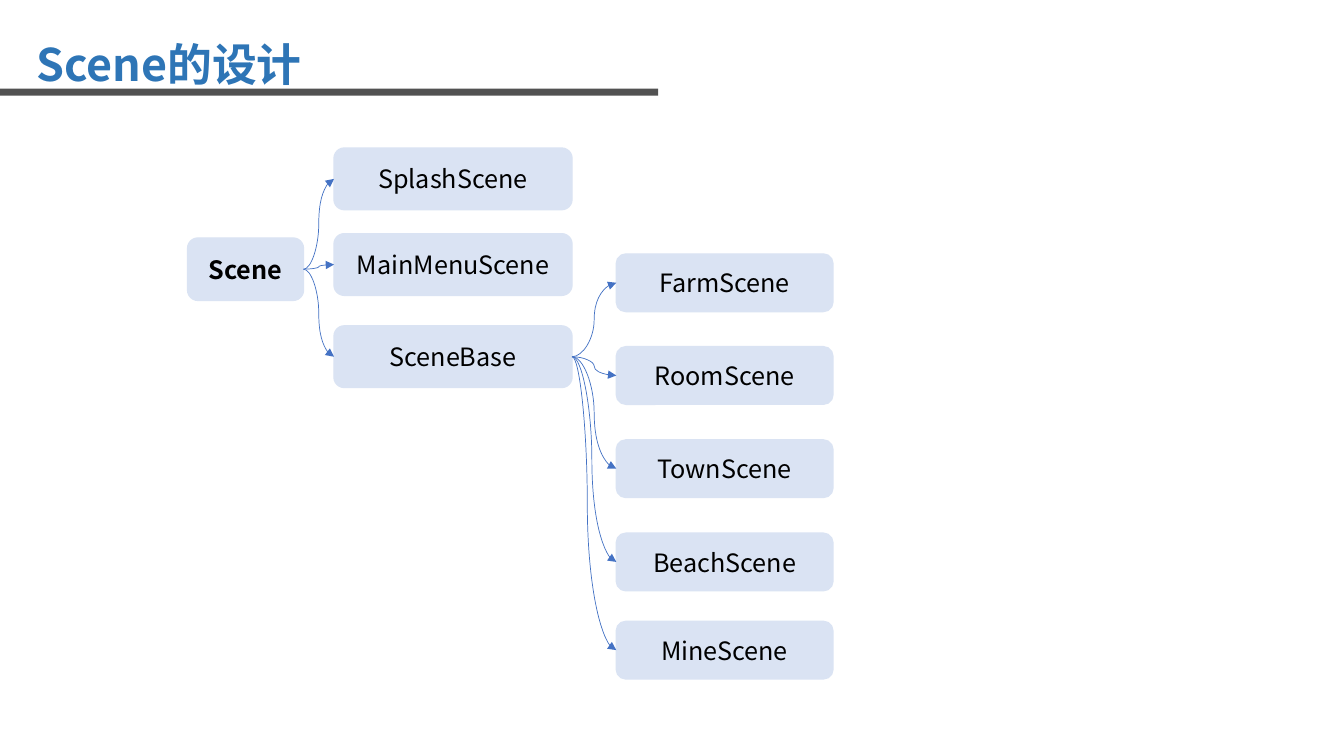
from lxml import etree
from pptx import Presentation
from pptx import util as u
from pptx.dml.color import RGBColor
from pptx.enum import shapes, text
from pptx.oxml.ns import qn

TITLE = "Scene的设计"
FONT = "Noto Sans CJK SC"
BLUE, GREY, PALE, BLACK, ARROW = "2E75B6", "525252", "DAE3F3", "000000", "4472C4"

ROOT = ("Scene", 170)
SCENES = [("SplashScene", 105.8), ("MainMenuScene", 167), ("SceneBase", 232.8)]
PLACES = [
    ("FarmScene", 181.4, 0.5),
    ("RoomScene", 247.6, 0.5),
    ("TownScene", 314.2, 0.5),
    ("BeachScene", 380.8, 0.448),
    ("MineScene", 443.8, 0.345),
]
ROOT_COLUMN = (134, 82.8, 44.6)
SCENE_COLUMN = (238.6, 170, 44)
PLACE_COLUMN = (440.2, 154.8, 41.2)


def color(value):
    return RGBColor.from_string(value)


def write(box, words, size=18, tint=BLACK, bold=False, align=text.PP_ALIGN.CENTER, spacing=1.0):
    frame = box.text_frame
    frame.word_wrap = True
    frame.vertical_anchor = text.MSO_ANCHOR.MIDDLE
    para = frame.paragraphs[0]
    para.alignment = align
    para.line_spacing = spacing
    span = para.add_run()
    span.text = words
    span.font.size = u.Pt(size)
    span.font.bold = bold
    span.font.name = FONT
    span.font.color.rgb = color(tint)
    east_asian = etree.SubElement(span.font._element, qn("a:ea"))
    east_asian.set("typeface", FONT)


def add_block(page, kind, left, top, width, height, fill):
    block = page.shapes.add_shape(kind, u.Pt(left), u.Pt(top), u.Pt(width), u.Pt(height))
    block.shadow.inherit = False
    block.fill.solid()
    block.fill.fore_color.rgb = color(fill)
    block.line.fill.background()
    return block


def add_node(page, words, top, column, bold=False):
    left, width, height = column
    node = add_block(page, shapes.MSO_SHAPE.ROUNDED_RECTANGLE, left, top, width, height, PALE)
    node.line.color.rgb = color(PALE)
    node.line.width = u.Pt(1)
    write(node, words, bold=bold)
    return node


def add_arrow(page, parent, child, bend=0.5):
    arrow = page.shapes.add_connector(shapes.MSO_CONNECTOR.CURVE, 0, 0, 0, 0)
    arrow.begin_connect(parent, 3)
    arrow.end_connect(child, 1)
    arrow.line.color.rgb = color(ARROW)
    arrow.line.width = u.Pt(0.5)
    properties = arrow._element.spPr
    guides = properties.find(qn("a:prstGeom")).find(qn("a:avLst"))
    etree.SubElement(guides, qn("a:gd"), name="adj1", fmla=f"val {round(bend * 100000)}")
    etree.SubElement(properties.find(qn("a:ln")), qn("a:tailEnd"), type="triangle")
    etree.SubElement(properties, qn("a:effectLst"))


def main():
    deck = Presentation()
    deck.slide_width, deck.slide_height = u.Pt(960), u.Pt(540)
    page = deck.slides.add_slide(deck.slide_layouts[6])

    title = page.shapes.add_textbox(u.Pt(18.7), u.Pt(-4.3), u.Pt(828), u.Pt(104.4))
    write(title, TITLE, size=32, tint=BLUE, bold=True, align=text.PP_ALIGN.LEFT, spacing=0.9)
    add_block(page, shapes.MSO_SHAPE.RECTANGLE, 0, 63.4, 470.2, 5, GREY)

    root = add_node(page, *ROOT, ROOT_COLUMN, bold=True)
    for name, top in SCENES:
        scene = add_node(page, name, top, SCENE_COLUMN)
        add_arrow(page, root, scene)
    for name, top, bend in PLACES:
        place = add_node(page, name, top, PLACE_COLUMN)
        add_arrow(page, scene, place, bend)

    deck.save("out.pptx")


if __name__ == "__main__":
    main()
